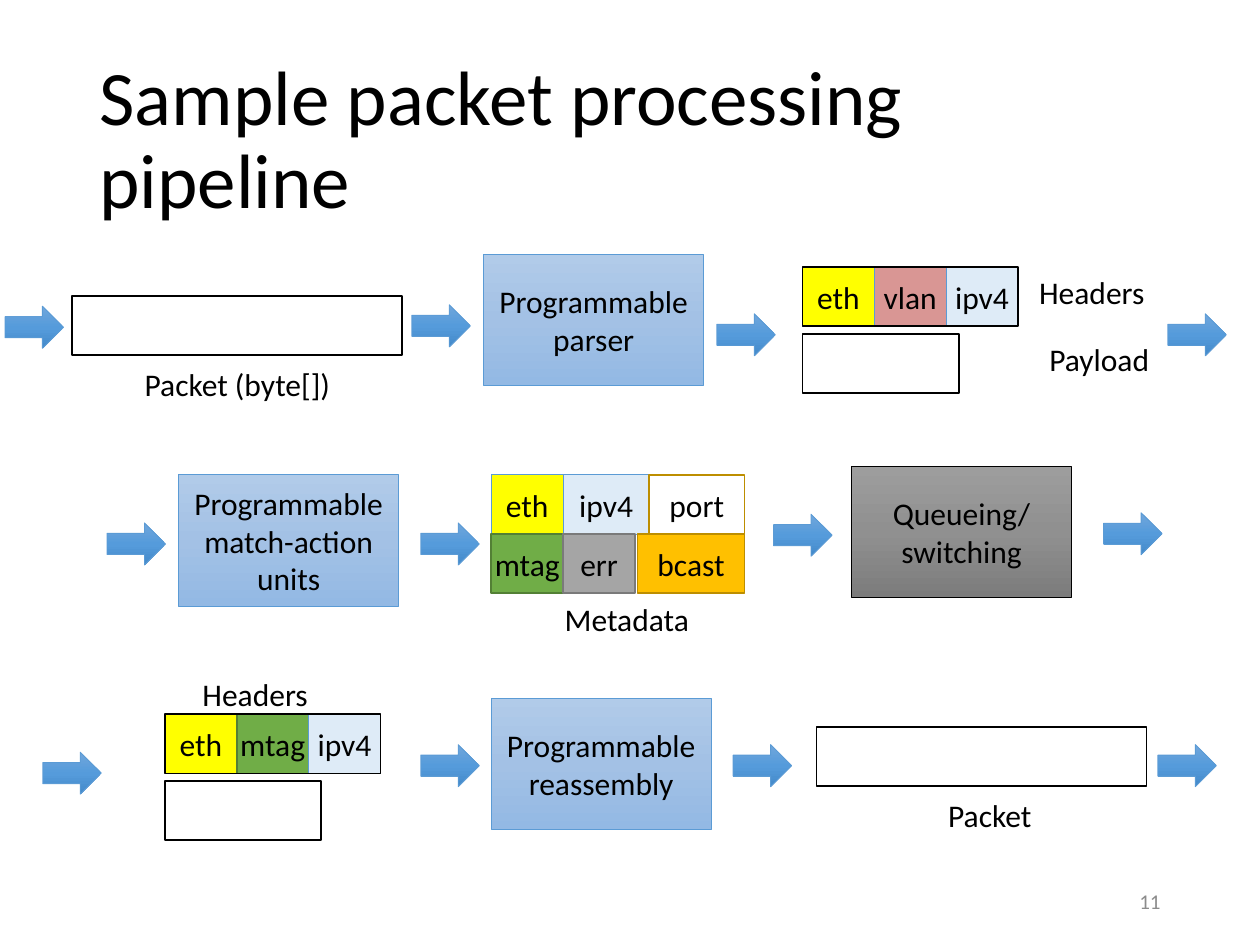
from copy import deepcopy
from pptx import Presentation
from pptx.dml.color import RGBColor as Rgb
from pptx.enum.shapes import MSO_SHAPE as Shape
from pptx.enum.text import MSO_ANCHOR as Anchor, PP_ALIGN as Align
from pptx.oxml.ns import qn
from pptx.util import Pt

HUES = {
    "black": "000000", "white": "FFFFFF", "gray": "8C8C8C", "blue": "5B9BD5",
    "yellow": "FFFF00", "rose": "D99694", "pale": "DEEBF7", "green": "70AD47",
    "moss": "538035", "ash": "A5A5A5", "smoke": "7A7A7A", "gold": "FFC000",
    "bronze": "BD8E00",
    "sky": ["B1CBE9", "A3C1E5", "93B9E4"],
    "sea": ["71A6DB", "559BDB", "448ACA"],
    "steel": ["9D9D9D", "909090", "7C7C7C"],
}
CELL, HIGH = 41.04, 33.84
KINDS = {
    "eth": ("yellow", "blue", 0.5), "vlan": ("rose", "blue", 0.5),
    "ipv4": ("pale", "blue", 0.5), "mtag": ("green", "moss", 1),
    "err": ("ash", "smoke", 1), "bcast": ("gold", "bronze", 1),
    "port": (None, "bronze", 1),
}

deck = Presentation()
deck.slide_width, deck.slide_height = Pt(720), Pt(540)
slide = deck.slides.add_slide(deck.slide_layouts[6])


def write(frame, text, size=18, hue="black", align=Align.CENTER,
          anchor=Anchor.MIDDLE, wrap=False, space=1):
    frame.word_wrap = wrap
    frame.vertical_anchor = anchor
    for i, line in enumerate(text.split("\n")):
        para = frame.add_paragraph() if i else frame.paragraphs[0]
        para.alignment = align
        para.line_spacing = space
        run = para.add_run()
        run.text = line
        run.font.size = Pt(size)
        run.font.name = "Calibri"
        run.font.color.rgb = Rgb.from_string(HUES[hue])


def label(x, y, w, h, text, **form):
    box = slide.shapes.add_textbox(Pt(x), Pt(y), Pt(w), Pt(h))
    write(box.text_frame, text, **form)


def blend(shape, hues):
    shape.fill.gradient()
    shape.fill.gradient_angle = 270
    first = shape.element.spPr.find(qn("a:gradFill")).find(qn("a:gsLst"))[0]
    first.addnext(deepcopy(first))
    for stop, hue, pos in zip(shape.fill.gradient_stops, hues, (0, 0.5, 1)):
        stop.color.rgb = Rgb.from_string(hue)
        stop.position = pos


def block(x, y, w, h, fill=None, line="black", width=1, text="", kind=Shape.RECTANGLE):
    shape = slide.shapes.add_shape(kind, Pt(x), Pt(y), Pt(w), Pt(h))
    shape.shadow.inherit = False
    if fill is None:
        shape.fill.background()
    elif isinstance(HUES[fill], list):
        blend(shape, HUES[fill])
    else:
        shape.fill.solid()
        shape.fill.fore_color.rgb = Rgb.from_string(HUES[fill])
    shape.line.color.rgb = Rgb.from_string(HUES[line])
    shape.line.width = Pt(width)
    if text:
        write(shape.text_frame, text)


def arrow(x, y):
    block(x, y, 33.4, 24, "sea", "blue", 0.5, kind=Shape.RIGHT_ARROW)


def stage(x, y, text, fill="sky", line="blue"):
    block(x, y, 125.5, 75, fill, line, 0.5, text)


def fields(x, y, names, widths):
    for name, w in zip(names, widths):
        fill, line, width = KINDS[name]
        block(x, y, w, HIGH, fill, line, width, name)
        x += w


def packet(x, y, text, shift, w):
    block(x, y, 188.6, HIGH, "white")
    label(x + shift, y + 36, w, 28.8, text, anchor=Anchor.TOP)


def parsed(x, y, names):
    fields(x, y, names, [CELL] * 3)
    block(x, y, CELL * 3, HIGH)
    block(x, y + 38.2, 89.3, HIGH, "white")


def meta(x, y):
    fields(x, y, ["eth", "ipv4", "port"], [CELL, 49, 54.7])
    fields(x, y + HIGH, ["mtag", "err"], [CELL] * 2)
    fields(x + 83.5, y + HIGH, ["bcast"], [61.2])
    label(x + 33.8, y + 2 * HIGH, 87.1, 28.8, "Metadata", anchor=Anchor.TOP)


label(49.7, 28.8, 620.6, 104.4, "Sample packet processing pipeline",
      size=44, align=Align.LEFT, wrap=True, space=0.9)

packet(41, 169.2, "Packet (byte[])", 33.1, 123.1)
stage(276.5, 145.4, "Programmable\nparser")
parsed(458.6, 152.6, ["eth", "vlan", "ipv4"])
label(586.1, 152.6, 75.6, 28.8, "Headers", anchor=Anchor.TOP)
label(591.8, 190.8, 72.7, 28.8, "Payload", anchor=Anchor.TOP)

stage(102.2, 271.4, "Programmable\nmatch-action\nunits")
meta(280.8, 271.4)
stage(486.7, 266.4, "Queueing/\nswitching", "steel", "black")

label(108, 382.3, 75.6, 28.8, "Headers", anchor=Anchor.TOP)
parsed(94.3, 408.2, ["eth", "mtag", "ipv4"])
stage(280.8, 398.9, "Programmable\nreassembly")
packet(466.6, 415.4, "Packet", 67, 64.1)

for spot in [(2.9, 175), (235.4, 174.2), (409.7, 179.3), (667.4, 179.3),
             (61.2, 298.8), (240.5, 298.8), (442.1, 293.8), (630.7, 293),
             (24.5, 429.8), (240.5, 425.5), (419, 425.5), (661.7, 425.5)]:
    arrow(*spot)

label(514.1, 500.4, 156.2, 28.8, "11", size=12, hue="gray", align=Align.RIGHT, wrap=True)

deck.save("out.pptx")
